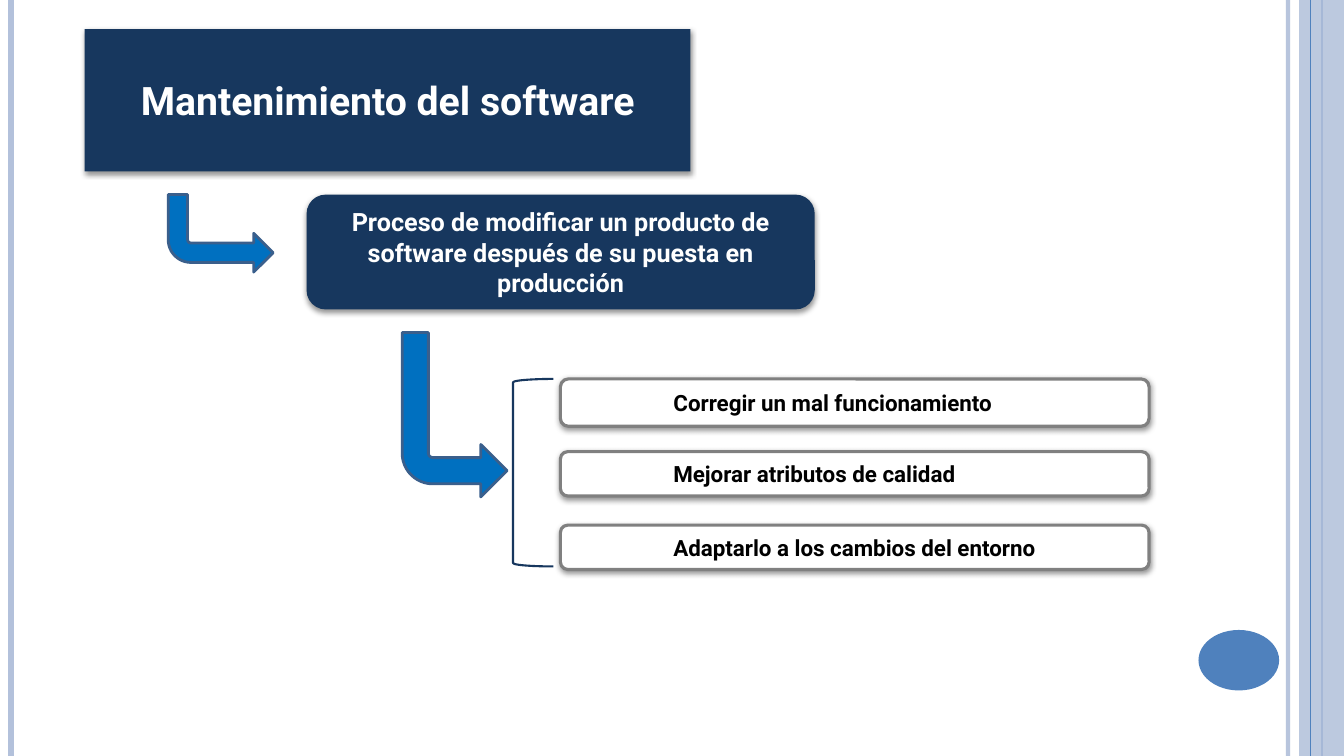
from lxml.etree import SubElement
from pptx import Presentation
from pptx.dml.color import RGBColor
from pptx.enum.shapes import MSO_CONNECTOR, MSO_SHAPE
from pptx.enum.text import MSO_ANCHOR, MSO_AUTO_SIZE, PP_ALIGN
from pptx.oxml.ns import qn
from pptx.util import Pt

WHITE = RGBColor(0xFF, 0xFF, 0xFF)
BLACK = RGBColor(0, 0, 0)
NAVY = RGBColor(0x17, 0x37, 0x5E)
GRAY = RGBColor(0x80, 0x80, 0x80)
PALE = RGBColor(0xB3, 0xC1, 0xDB)
BLUE = RGBColor(0x4F, 0x81, 0xBD)
BRIGHT = RGBColor(0x00, 0x70, 0xC0)
EDGE = RGBColor(0x3A, 0x5F, 0x8C)

WIDTH, HEIGHT = 960, 540
TITLE = "Mantenimiento del software"
MEANING = "Proceso de modificar un producto de software después de su puesta en producción"
# text, top, height
GOALS = [
    ("Corregir un mal funcionamiento", 270.7, 33.8),
    ("Mejorar atributos de calidad", 322.6, 31.7),
    ("Adaptarlo a los cambios del entorno", 375.1, 31.7),
]
GOAL_LEFT, GOAL_WIDTH = 400.3, 420.5
# left, top, width, height
ARROWS = [(287.3, 237.6, 74.9, 117.4), (120.2, 139, 74.9, 55.4)]
# x, colour, weight, opacity
RULES = [(920, PALE, 3, 93), (8, PALE, 4.5, 100), (944, BLUE, 1.5, 100)]
THIN = (936, BLUE, 0.75, 100)


def fade(part, opacity):
    """Set the opacity, in percent, of the solid fill below part."""
    color = next(part.iter(qn("a:srgbClr")))
    SubElement(color, qn("a:alpha"), val=str(opacity * 1000))


def add_rule(slide, x, color, weight, opacity):
    rule = slide.shapes.add_connector(MSO_CONNECTOR.STRAIGHT, Pt(x), 0, Pt(x), Pt(HEIGHT))
    rule.line.color.rgb = color
    rule.line.width = Pt(weight)
    if opacity < 100:
        fade(rule.line.fill._xPr, opacity)
    SubElement(rule.element.spPr, qn("a:effectLst"))


def paint(shape, fill=None, line=None, weight=1):
    if fill is None:
        shape.fill.background()
    else:
        shape.fill.solid()
        shape.fill.fore_color.rgb = fill
    if line is None:
        shape.line.fill.background()
    else:
        shape.line.color.rgb = line
        shape.line.width = Pt(weight)
    shape.shadow.inherit = False


def add_form(slide, kind, box, **look):
    shape = slide.shapes.add_shape(kind, *[Pt(n) for n in box])
    paint(shape, **look)
    return shape


def cast_shadow(shape):
    effects = shape.element.spPr.find(qn("a:effectLst"))
    shade = SubElement(effects, qn("a:outerShdw"), blurRad=str(Pt(4)),
                       dist=str(Pt(1.6)), dir="5400000", rotWithShape="0")
    color = SubElement(shade, qn("a:srgbClr"), val="000000")
    SubElement(color, qn("a:alpha"), val="42000")


def write(shape, text, size, color=WHITE, align=PP_ALIGN.CENTER, indent=0, before=0):
    frame = shape.text_frame
    frame.word_wrap = True
    frame.auto_size = MSO_AUTO_SIZE.NONE
    frame.vertical_anchor = MSO_ANCHOR.MIDDLE
    para = frame.paragraphs[0]
    para.alignment = align
    para.space_before = Pt(before)
    if indent:
        para.level = 2
        props = para._p.get_or_add_pPr()
        props.set("marL", str(Pt(indent)))
        props.set("indent", "0")
    run = para.add_run()
    run.text = text
    run.font.name = "Roboto"
    run.font.size = Pt(size)
    run.font.bold = True
    run.font.color.rgb = color


def add_title(slide):
    title = slide.shapes.title
    title.left, title.top, title.width, title.height = map(Pt, (60.5, 20.9, 432.7, 101.5))
    outline = SubElement(title.element.spPr, qn("a:prstGeom"), prst="roundRect")
    SubElement(outline, qn("a:avLst"))
    paint(title, fill=NAVY)
    cast_shadow(title)
    write(title, TITLE, 28)


def add_frame(slide):
    for rule in RULES:
        add_rule(slide, *rule)
    band = add_form(slide, MSO_SHAPE.RECTANGLE, (928, 0, 32, HEIGHT), fill=PALE)
    fade(band.element.spPr, 87)
    add_rule(slide, *THIN)
    add_form(slide, MSO_SHAPE.OVAL, (856.1, 450, 57.6, 43.2), fill=BLUE)


def main():
    deck = Presentation()
    deck.slide_width, deck.slide_height = Pt(WIDTH), Pt(HEIGHT)
    slide = deck.slides.add_slide(deck.slide_layouts[5])
    add_frame(slide)
    add_title(slide)

    meaning = add_form(slide, MSO_SHAPE.ROUNDED_RECTANGLE, (219, 139, 363, 82), fill=NAVY)
    cast_shadow(meaning)
    write(meaning, MEANING, 18, before=3.6)

    for text, top, height in GOALS:
        goal = add_form(slide, MSO_SHAPE.ROUNDED_RECTANGLE,
                        (GOAL_LEFT, top, GOAL_WIDTH, height),
                        fill=WHITE, line=GRAY, weight=2.25)
        cast_shadow(goal)
        write(goal, text, 16, color=BLACK, align=PP_ALIGN.LEFT, indent=72)

    for box in ARROWS:
        arrow = add_form(slide, MSO_SHAPE.BENT_ARROW, box, fill=BRIGHT, line=EDGE, weight=2)
        arrow.adjustments[3] = 0.292
        arrow.element.spPr.find(qn("a:xfrm")).set("flipV", "1")

    add_form(slide, MSO_SHAPE.LEFT_BRACKET, (366.5, 270.7, 28.8, 133.9), line=NAVY, weight=1.5)
    deck.save("out.pptx")


if __name__ == "__main__":
    main()
